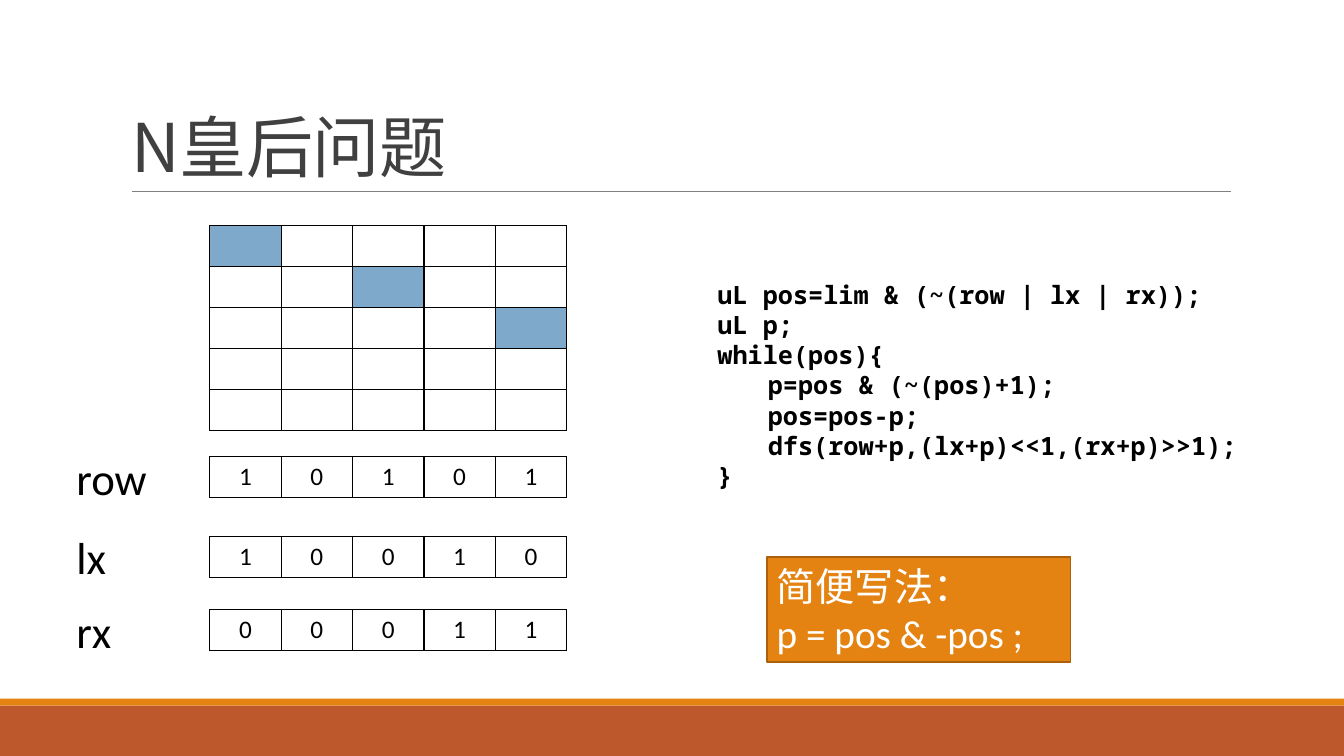
from lxml.etree import SubElement
from pptx import Presentation
from pptx.dml.color import RGBColor
from pptx.enum.shapes import MSO_CONNECTOR as CONNECTOR, MSO_SHAPE as SHAPE
from pptx.enum.text import MSO_ANCHOR as ANCHOR, MSO_AUTO_SIZE as AUTO_SIZE, PP_ALIGN as ALIGN
from pptx.oxml.ns import qn
from pptx.util import Pt

BLACK = RGBColor(0x00, 0x00, 0x00)
WHITE = RGBColor(0xFF, 0xFF, 0xFF)
TITLE_GRAY = RGBColor(0x40, 0x40, 0x40)
RULE_GRAY = RGBColor(0x80, 0x80, 0x80)
RUST = RGBColor(0xBD, 0x58, 0x2C)
ORANGE = RGBColor(0xE4, 0x83, 0x12)
BROWN = RGBColor(0xA9, 0x61, 0x0D)
QUEEN_BLUE = RGBColor(0x7E, 0xA9, 0xCA)

CJK_FONT = "Noto Sans CJK SC"
TITLE_FORMAT = {"size": Pt(48), "name": CJK_FONT}
LABEL_FORMAT = {"size": Pt(32), "name": "Calibri"}
BIT_FORMAT = {"size": Pt(18), "name": "Calibri"}
CODE_FORMAT = {"size": Pt(18), "name": "Noto Sans Mono", "bold": True}
NOTE_FORMAT = {"size": Pt(28), "name": "Calibri"}

BOARD_SIZE = 5
GRID_LEFT = 149.8
CELL_WIDTH = 51
CELL_HEIGHT = 29.3
QUEENS = {(0, 0), (1, 2), (2, 4)}
BIT_ROWS = [("row", "10101", 326.2), ("lx", "10010", 383), ("rx", "00011", 435.6)]
CODE = [
    "uL pos=lim & (~(row | lx | rx));",
    "uL p;",
    "while(pos){",
    "\tp=pos & (~(pos)+1);",
    "\tpos=pos-p;",
    "\tdfs(row+p,(lx+p)<<1,(rx+p)>>1);",
    "}",
]


def write_lines(frame, lines, text_format, color, align=ALIGN.LEFT):
    frame.word_wrap = True
    for index, line in enumerate(lines):
        paragraph = frame.add_paragraph() if index else frame.paragraphs[0]
        paragraph.alignment = align
        run = paragraph.add_run()
        run.text = line
        for name, value in text_format.items():
            setattr(run.font, name, value)
        run.font.color.rgb = color
        if not line.isascii():
            run.font.name = CJK_FONT
            SubElement(run.font._element, qn("a:ea"), typeface=CJK_FONT)


def add_grid(top, row_count):
    frame = slide.shapes.add_table(
        row_count, BOARD_SIZE, Pt(GRID_LEFT), Pt(top),
        Pt(CELL_WIDTH * BOARD_SIZE), Pt(CELL_HEIGHT * row_count))
    table = frame.table
    table.first_row = table.horz_banding = False
    for row in table.rows:
        row.height = Pt(CELL_HEIGHT)
    for cell in table.iter_cells():
        properties = cell._tc.get_or_add_tcPr()
        for side in ("lnL", "lnR", "lnT", "lnB"):
            border = SubElement(properties, qn("a:" + side), w=str(Pt(1)))
            fill = SubElement(border, qn("a:solidFill"))
            SubElement(fill, qn("a:srgbClr"), val=str(BLACK))
        cell.fill.background()
    return table


presentation = Presentation()
presentation.slide_width = Pt(960)
presentation.slide_height = Pt(540)
slide = presentation.slides.add_slide(presentation.slide_layouts[5])

for top, height, color in [(504, 36, RUST), (499, 5, ORANGE)]:
    band = slide.shapes.add_shape(SHAPE.RECTANGLE, 0, Pt(top), Pt(960), Pt(height))
    band.shadow.inherit = False
    band.fill.solid()
    band.fill.fore_color.rgb = color
    band.line.fill.background()

rule = slide.shapes.add_connector(CONNECTOR.STRAIGHT, Pt(94.3), Pt(136.8), Pt(879), Pt(136.8))
rule.line.color.rgb = RULE_GRAY
rule.line.width = Pt(0.5)
SubElement(rule._element.spPr, qn("a:effectLst"))

title = slide.shapes.title
for name, value in {"left": 86.4, "top": 22.3, "width": 792, "height": 114.5}.items():
    setattr(title, name, Pt(value))
title.text_frame.auto_size = AUTO_SIZE.NONE
title.text_frame.vertical_anchor = ANCHOR.BOTTOM
write_lines(title.text_frame, ["N皇后问题"], TITLE_FORMAT, TITLE_GRAY)
title_paragraph = title.text_frame.paragraphs[0]
title_paragraph.line_spacing = 0.85
title_paragraph.runs[0].font._element.set("spc", "-50")

board = add_grid(161.2, BOARD_SIZE)
for row, column in QUEENS:
    queen = board.cell(row, column)
    queen.fill.solid()
    queen.fill.fore_color.rgb = QUEEN_BLUE

for label, bits, top in BIT_ROWS:
    label_box = slide.shapes.add_textbox(Pt(47.5), Pt(top - 8), Pt(81.4), Pt(46))
    write_lines(label_box.text_frame, [label], LABEL_FORMAT, BLACK)
    bit_table = add_grid(top, 1)
    for cell, bit in zip(bit_table.iter_cells(), bits):
        write_lines(cell.text_frame, [bit], BIT_FORMAT, BLACK, ALIGN.CENTER)

code_box = slide.shapes.add_textbox(Pt(505.4), Pt(195.8), Pt(406), Pt(160))
write_lines(code_box.text_frame, CODE, CODE_FORMAT, BLACK)

note = slide.shapes.add_shape(SHAPE.RECTANGLE, Pt(547.7), Pt(398), Pt(217), Pt(75))
note.shadow.inherit = False
note.fill.solid()
note.fill.fore_color.rgb = ORANGE
note.line.color.rgb = BROWN
note.line.width = Pt(1.25)
note.text_frame.vertical_anchor = ANCHOR.TOP
write_lines(note.text_frame, ["简便写法：", "p = pos & -pos ;"], NOTE_FORMAT, WHITE)

presentation.save("out.pptx")
